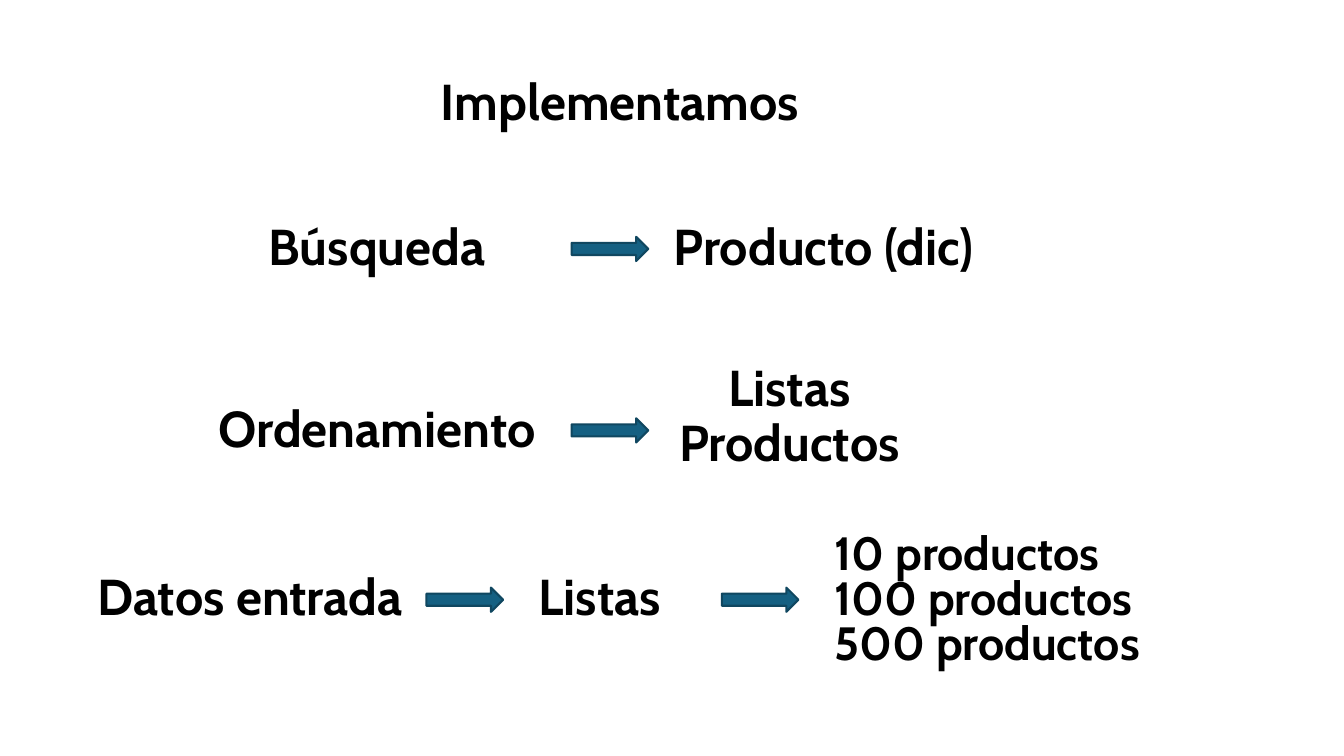
import pptx
import pptx.dml.color
import pptx.enum.shapes
import pptx.enum.text
import pptx.util

Inches = pptx.util.Inches
Pt = pptx.util.Pt
RGBColor = pptx.dml.color.RGBColor
Align = pptx.enum.text.PP_ALIGN

COLORS = {"text": "000000", "arrow": "156082", "arrow_line": "104760"}
FONT = "Cabin"
LABEL_WIDTH, LABEL_HEIGHT = 3.48, 1.45

LABELS = [
    ("Búsqueda", 2, 1.75),
    ("Producto (dic)", 6.43, 1.75),
    ("Ordenamiento", 2, 3.55),
    ("Listas Productos", 6.09, 3.42),
    ("Datos entrada", 0.74, 5.22),
    ("Listas", 4.21, 5.22),
]
ARROWS = [(5.67, 2.35), (5.67, 4.15), (4.23, 5.83), (7.16, 5.83)]
INPUT_SIZES = [10, 100, 500]


def write_text(frame, text, size=36, align=Align.CENTER, spacing=0.9):
    frame.text = text
    frame.word_wrap = True
    frame.auto_size = pptx.enum.text.MSO_AUTO_SIZE.NONE
    frame.vertical_anchor = pptx.enum.text.MSO_ANCHOR.MIDDLE
    for paragraph in frame.paragraphs:
        paragraph.alignment = align
        paragraph.line_spacing = spacing
        paragraph.space_before = Pt(0)
        for run in paragraph.runs:
            run.font.name = FONT
            run.font.size = Pt(size)
            run.font.bold = True
            run.font.color.rgb = RGBColor.from_string(COLORS["text"])


def set_title(slide, text):
    heading = slide.shapes.title
    heading.left, heading.top = Inches(4.21), Inches(0.31)
    heading.width, heading.height = Inches(3.88), Inches(LABEL_HEIGHT)
    write_text(heading.text_frame, text)


def add_label(slide, text, left, top, width=LABEL_WIDTH, **style):
    label = slide.shapes.add_textbox(
        Inches(left), Inches(top), Inches(width), Inches(LABEL_HEIGHT))
    write_text(label.text_frame, text, **style)


def add_arrow(slide, left, top):
    arrow = slide.shapes.add_shape(
        pptx.enum.shapes.MSO_SHAPE.RIGHT_ARROW,
        Inches(left), Inches(top), Inches(0.76), Inches(0.24))
    arrow.shadow.inherit = False
    arrow.fill.solid()
    arrow.fill.fore_color.rgb = RGBColor.from_string(COLORS["arrow"])
    arrow.line.color.rgb = RGBColor.from_string(COLORS["arrow_line"])
    arrow.line.width = Pt(1.5)


def main():
    presentation = pptx.Presentation()
    presentation.slide_width = Inches(13.33)
    presentation.slide_height = Inches(7.5)
    slide = presentation.slides.add_slide(presentation.slide_layouts[5])

    set_title(slide, "Implementamos")
    for text, left, top in LABELS:
        add_label(slide, text, left, top)
    for left, top in ARROWS:
        add_arrow(slide, left, top)
    products = "\n".join(f"{count} productos" for count in INPUT_SIZES)
    add_label(slide, products, 8.18, 5.25, width=3.75,
              size=33.3, align=Align.LEFT, spacing=0.8)

    presentation.save("out.pptx")


if __name__ == "__main__":
    main()
